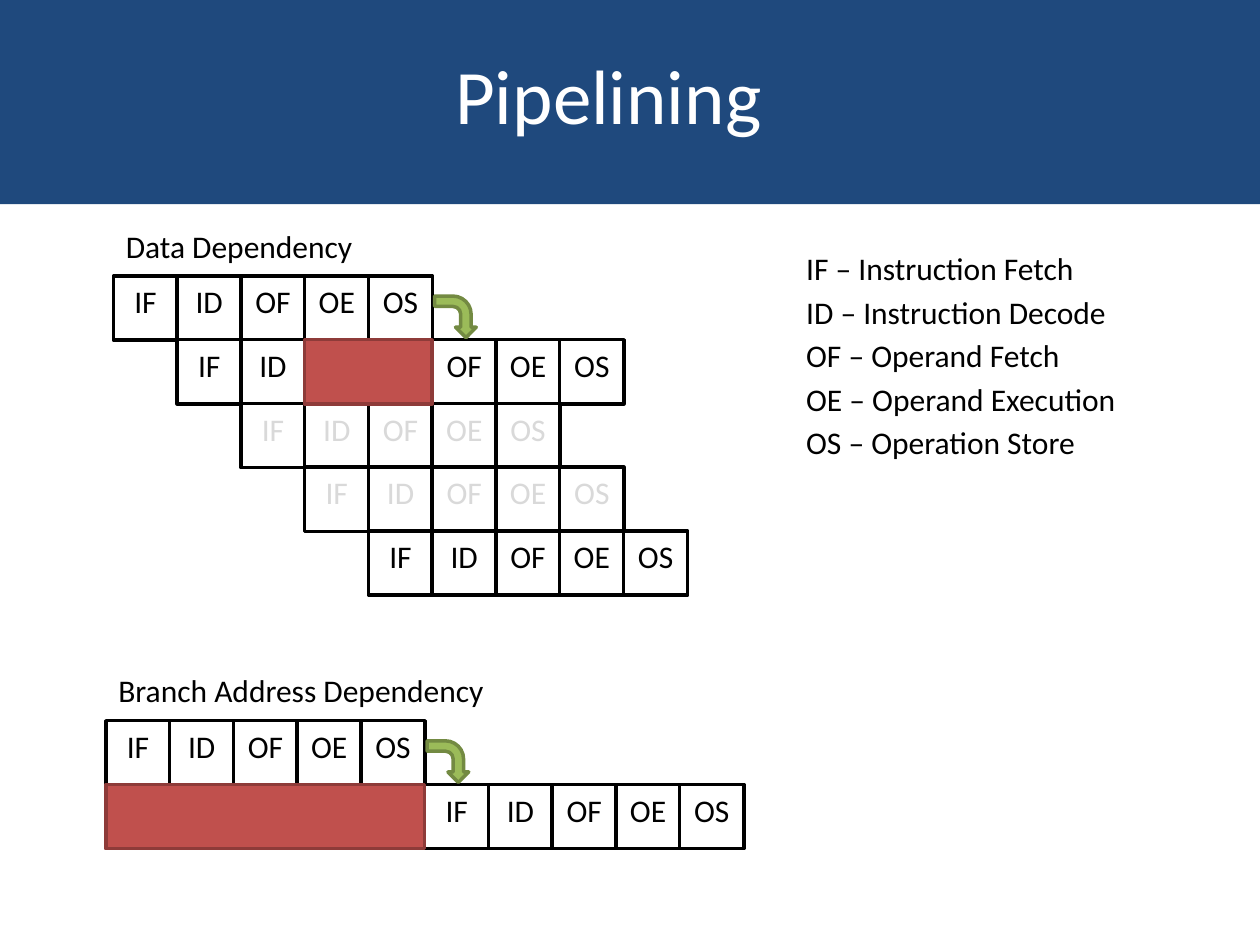
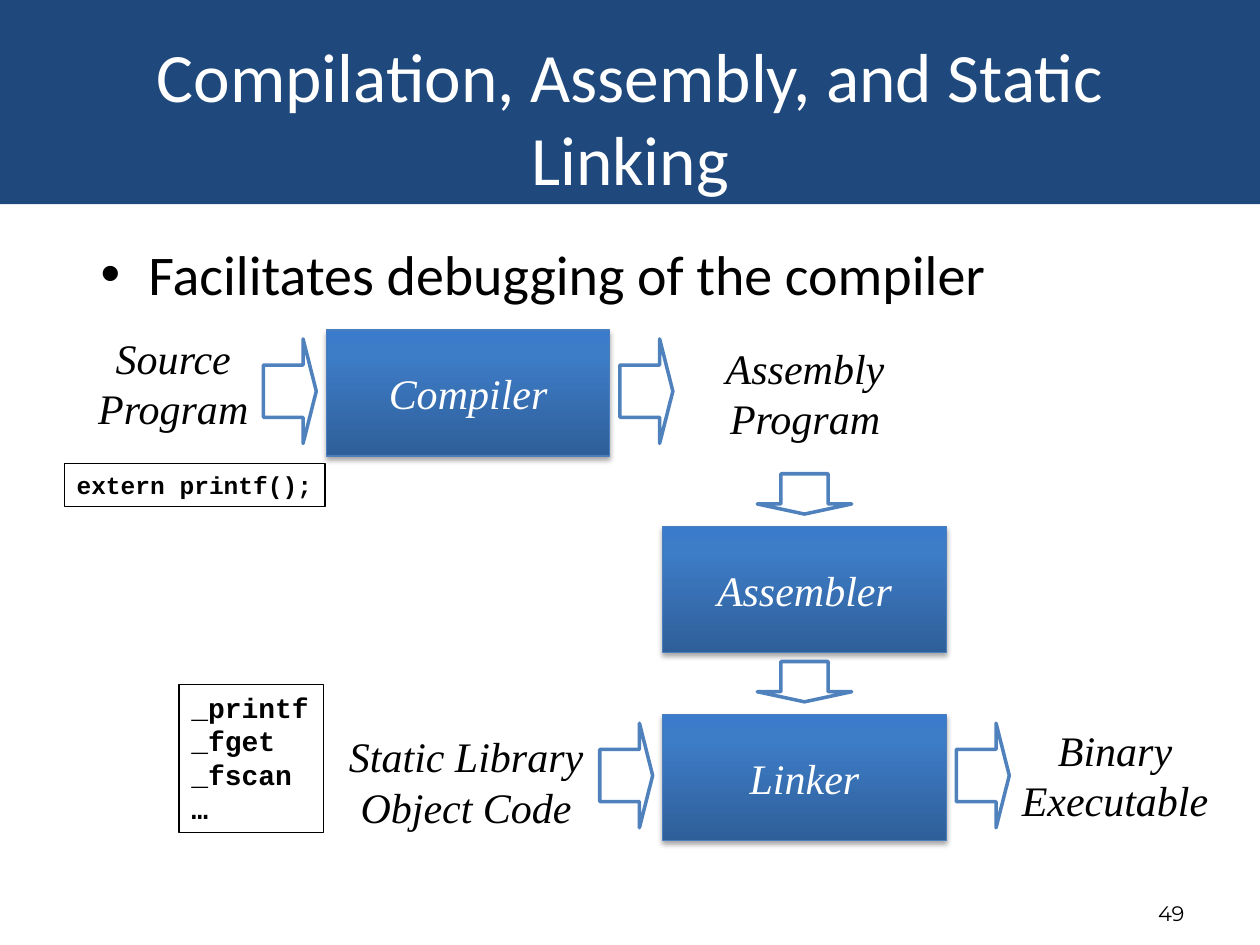
from dataclasses import dataclass
from typing import NamedTuple

from lxml.etree import SubElement
from pptx import Presentation
from pptx.dml.color import RGBColor
from pptx.enum.shapes import MSO_SHAPE as Preset
from pptx.enum.text import MSO_ANCHOR as Anchor, MSO_AUTO_SIZE as AutoSize, PP_ALIGN as Align
from pptx.oxml.ns import qn
from pptx.util import Inches, Pt

SLIDE_WIDTH, SLIDE_HEIGHT = Inches(10), Inches(7.5)
GRID_COLUMNS = 100
GRID_STEP = SLIDE_WIDTH / GRID_COLUMNS
TITLE_ONLY = 5


@dataclass(frozen=True)
class Theme:
    band: str = "1F497D"
    paper: str = "FFFFFF"
    ink: str = "000000"
    faded: str = "D9D9D9"
    faded_edge: str = "BFBFBF"
    stall: str = "C0504D"
    stall_edge: str = "8E3B39"
    turn: str = "9BBB59"
    turn_edge: str = "738A42"
    flow_edge: str = "4F81BD"
    stage_edge: str = "4B7EBC"
    stage_stops: tuple = ((0, "2F5F99"), (80, "3D7CC7"), (100, "3A7CCB"))
    thick: float = 2
    thin: float = 0.75
    space_share: float = 0.18


@dataclass(frozen=True)
class Style:
    size: float
    font: str = "Calibri"
    color: str = "000000"
    bold: bool = False
    italic: bool = False
    align: Align = Align.LEFT


class Box(NamedTuple):
    column: float
    row: float
    columns: float
    rows: float

    def lengths(self) -> list[int]:
        return [round(value * GRID_STEP) for value in self]


class Instruction(NamedTuple):
    row: int
    slots: tuple
    faded: bool = False


class Stall(NamedTuple):
    row: int
    slot: int
    length: int


class Pipeline(NamedTuple):
    column: float
    row: float
    caption: str
    caption_box: Box
    instructions: tuple
    stall: Stall


class Stage(NamedTuple):
    name: str
    box: Box
    arrows: tuple


class Label(NamedTuple):
    text: str
    box: Box


THEME = Theme()
BODY = Style(18)
CELL = Style(18, align=Align.CENTER)
FADED_CELL = Style(18, color=THEME.faded, align=Align.CENTER)
BULLET = Style(32)
FLOW_LABEL = Style(24, "Times New Roman", italic=True, align=Align.CENTER)
STAGE_NAME = Style(24, "Times New Roman", THEME.paper, italic=True, align=Align.CENTER)
PAGE_NUMBER = Style(12, "Montserrat", align=Align.RIGHT)

STEPS = ("IF", "ID", "OF", "OE", "OS")
LEGEND = "\n".join((
    "IF – Instruction Fetch",
    "ID – Instruction Decode",
    "OF – Operand Fetch",
    "OE – Operand Execution",
    "OS – Operation Store",
))
CELL_SIZE = 5.1
CELL_PITCH = 5.06
TURN_SIZE = 3.3

PIPELINES = (
    Pipeline(9, 21.9, "Data Dependency", Box(9, 17.5, 25.7, 4), (
        Instruction(0, (0, 1, 2, 3, 4)),
        Instruction(1, (1, 2, 5, 6, 7)),
        Instruction(2, (2, 3, 4, 5, 6), faded=True),
        Instruction(3, (3, 4, 5, 6, 7), faded=True),
        Instruction(4, (4, 5, 6, 7, 8)),
    ), Stall(1, 3, 2)),
    Pipeline(8.4, 57.2, "Branch Address Dependency", Box(8.4, 52.8, 38.8, 4), (
        Instruction(0, (0, 1, 2, 3, 4)),
        Instruction(1, (5, 6, 7, 8, 9)),
    ), Stall(1, 0, 5)),
)

STAGES = (
    Stage("Compiler", Box(25.9, 26.2, 22.5, 10), ("left", "right")),
    Stage("Assembler", Box(52.6, 41.8, 22.5, 10), ("above",)),
    Stage("Linker", Box(52.6, 56.7, 22.5, 10), ("above", "left", "right")),
)
FLOW_LABELS = (
    Label("Source\nProgram", Box(6.7, 25.9, 14.1, 9)),
    Label("Assembly\nProgram", Box(56.6, 26.7, 14.6, 9)),
    Label("Static Library\nObject Code", Box(26.7, 57.5, 20.6, 9)),
    Label("Binary\nExecutable", Box(80.1, 57, 16.8, 9)),
)
CODE_SAMPLES = (
    (Label("_printf\n_fget\n_fscan\n…", Box(14.2, 54.3, 11.5, 11.8)), 16),
    (Label("extern printf();", Box(5.1, 36.8, 20.7, 3.4)), 14),
)


def rgb(color: str) -> RGBColor:
    return RGBColor.from_string(color)


def write(shape, text: str, style: Style, wrap: bool = True, anchor=Anchor.TOP) -> None:
    frame = shape.text_frame
    frame.text = text
    frame.word_wrap = wrap
    frame.auto_size = AutoSize.NONE
    frame.vertical_anchor = anchor
    for paragraph in frame.paragraphs:
        paragraph.alignment = style.align
        for run in paragraph.runs:
            font = run.font
            font.name, font.size = style.font, Pt(style.size)
            font.bold, font.italic = style.bold, style.italic
            font.color.rgb = rgb(style.color)


def add_text(slide, label: Label, style: Style, wrap: bool = True, anchor=Anchor.TOP):
    shape = slide.shapes.add_textbox(*label.box.lengths())
    write(shape, label.text, style, wrap, anchor)
    return shape


def add_preset(slide, preset: Preset, box: Box, fill: str | None, edge: str, weight: float):
    shape = slide.shapes.add_shape(preset, *box.lengths())
    shape.shadow.inherit = False
    if fill is None:
        shape.fill.background()
    else:
        shape.fill.solid()
        shape.fill.fore_color.rgb = rgb(fill)
    shape.line.color.rgb = rgb(edge)
    shape.line.width = Pt(weight)
    return shape


def space_paragraphs(shape, style: Style) -> None:
    for paragraph in shape.text_frame.paragraphs:
        paragraph.space_before = Pt(style.size * THEME.space_share)


def add_bullet(paragraph, indent: int) -> None:
    properties = paragraph._p.get_or_add_pPr()
    properties.set("marL", str(indent))
    properties.set("indent", str(-indent))
    SubElement(properties, qn("a:buFont"), typeface="Arial")
    SubElement(properties, qn("a:buChar"), char="•")


def outline_text(shape, color: str) -> None:
    for run in shape.text_frame.paragraphs[0].runs:
        properties = run.font._element
        line = SubElement(properties, qn("a:ln"), w=str(Pt(THEME.thin)))
        SubElement(SubElement(line, qn("a:solidFill")), qn("a:srgbClr"), val=color)
        properties.insert(0, line)


def add_stage_finish(shape) -> None:
    shape.fill.gradient()
    shape.fill.gradient_angle = 90
    properties = shape.element.spPr
    stops = properties.find(".//" + qn("a:gsLst"))
    for stop in list(stops):
        stops.remove(stop)
    for position, color in THEME.stage_stops:
        stop = SubElement(stops, qn("a:gs"), pos=str(position * 1000))
        SubElement(stop, qn("a:srgbClr"), val=color)
    shadow = SubElement(
        properties.find(qn("a:effectLst")), qn("a:outerShdw"),
        blurRad=str(Pt(3.1)), dist=str(Pt(1.8)), dir="5400000", rotWithShape="0",
    )
    color = SubElement(shadow, qn("a:srgbClr"), val=THEME.ink)
    SubElement(color, qn("a:alpha"), val="35000")


def add_slide(presentation, title: Label, size: float):
    slide = presentation.slides.add_slide(presentation.slide_layouts[TITLE_ONLY])
    shape = slide.shapes.title
    shape.left, shape.top, shape.width, shape.height = title.box.lengths()
    style = Style(size, color=THEME.paper, align=Align.CENTER)
    write(shape, title.text, style, anchor=Anchor.MIDDLE)
    return slide


def move_band_to_master(presentation, slide) -> None:
    band = add_preset(slide, Preset.RECTANGLE, Box(0, 0, GRID_COLUMNS, 16.2), THEME.band, THEME.band, 0)
    band.line.fill.background()
    presentation.slide_master.shapes.element.insert(2, band.element)


def draw_pipeline(slide, pipeline: Pipeline) -> None:
    def place(slot: float, row: float, width: float, height: float) -> Box:
        return Box(pipeline.column + slot * CELL_PITCH, pipeline.row + row * CELL_PITCH, width, height)

    add_text(slide, Label(pipeline.caption, pipeline.caption_box), BODY)
    for instruction in pipeline.instructions:
        for step, slot in zip(STEPS, instruction.slots):
            box = place(slot, instruction.row, CELL_SIZE, CELL_SIZE)
            cell = add_preset(slide, Preset.RECTANGLE, box, THEME.paper, THEME.ink, THEME.thick)
            write(cell, step, FADED_CELL if instruction.faded else CELL, wrap=False)
            if instruction.faded:
                outline_text(cell, THEME.faded_edge)
    stall = pipeline.stall
    box = place(stall.slot, stall.row, stall.length * CELL_PITCH, CELL_SIZE)
    add_preset(slide, Preset.RECTANGLE, box, THEME.stall, THEME.stall_edge, THEME.thick)
    corner = place(len(STEPS), 0, TURN_SIZE, TURN_SIZE)
    box = corner._replace(column=corner.column + 0.2, row=corner.row + 1.6)
    turn = add_preset(slide, Preset.BENT_ARROW, box, THEME.turn, THEME.turn_edge, THEME.thick)
    turn.rotation = 90


def draw_stage(slide, stage: Stage) -> None:
    box = stage.box
    arrow_places = {
        "left": (Preset.RIGHT_ARROW, Box(box.column - 5, box.row + 0.7, 4.2, 8.3)),
        "right": (Preset.RIGHT_ARROW, Box(box.column + box.columns + 0.8, box.row + 0.7, 4.2, 8.3)),
        "above": (Preset.DOWN_ARROW, Box(box.column + box.columns / 3, box.row - 4.2, box.columns / 3, 3.2)),
    }
    shape = add_preset(slide, Preset.RECTANGLE, box, THEME.band, THEME.stage_edge, THEME.thin)
    add_stage_finish(shape)
    write(shape, stage.name, STAGE_NAME, wrap=False, anchor=Anchor.MIDDLE)
    for side in stage.arrows:
        preset, place = arrow_places[side]
        arrow = add_preset(slide, preset, place, THEME.paper, THEME.flow_edge, THEME.thick)
        arrow.adjustments[0], arrow.adjustments[1] = 0.5, 0.25


def build_pipelining(presentation) -> None:
    slide = add_slide(presentation, Label("Pipelining", Box(3.3, 1.2, 90, 12.5)), 44)
    move_band_to_master(presentation, slide)
    legend = add_text(slide, Label(LEGEND, Box(63, 19.3, 30.4, 22.8)), BODY)
    space_paragraphs(legend, BODY)
    for pipeline in PIPELINES:
        draw_pipeline(slide, pipeline)


def build_linking(presentation) -> None:
    title = Label("Compilation, Assembly, and Static Linking", Box(5, 3, 90, 12.5))
    slide = add_slide(presentation, title, 39.6)
    point = Label("Facilitates debugging of the compiler", Box(7, 18.5, 86.2, 47.6))
    body = add_text(slide, point, BULLET)
    space_paragraphs(body, BULLET)
    add_bullet(body.text_frame.paragraphs[0], Inches(0.38))
    add_text(slide, Label("49", Box(71.7, 70.8, 23.3, 3.3)), PAGE_NUMBER, anchor=Anchor.MIDDLE)
    for stage in STAGES:
        draw_stage(slide, stage)
    for label in FLOW_LABELS:
        add_text(slide, label, FLOW_LABEL, wrap=False)
    for sample, size in CODE_SAMPLES:
        shape = add_preset(slide, Preset.RECTANGLE, sample.box, None, THEME.ink, THEME.thin)
        write(shape, sample.text, Style(size, "Courier New", bold=True), wrap=False)


def main() -> None:
    presentation = Presentation()
    presentation.slide_width, presentation.slide_height = SLIDE_WIDTH, SLIDE_HEIGHT
    build_pipelining(presentation)
    build_linking(presentation)
    presentation.save("out.pptx")


if __name__ == "__main__":
    main()
